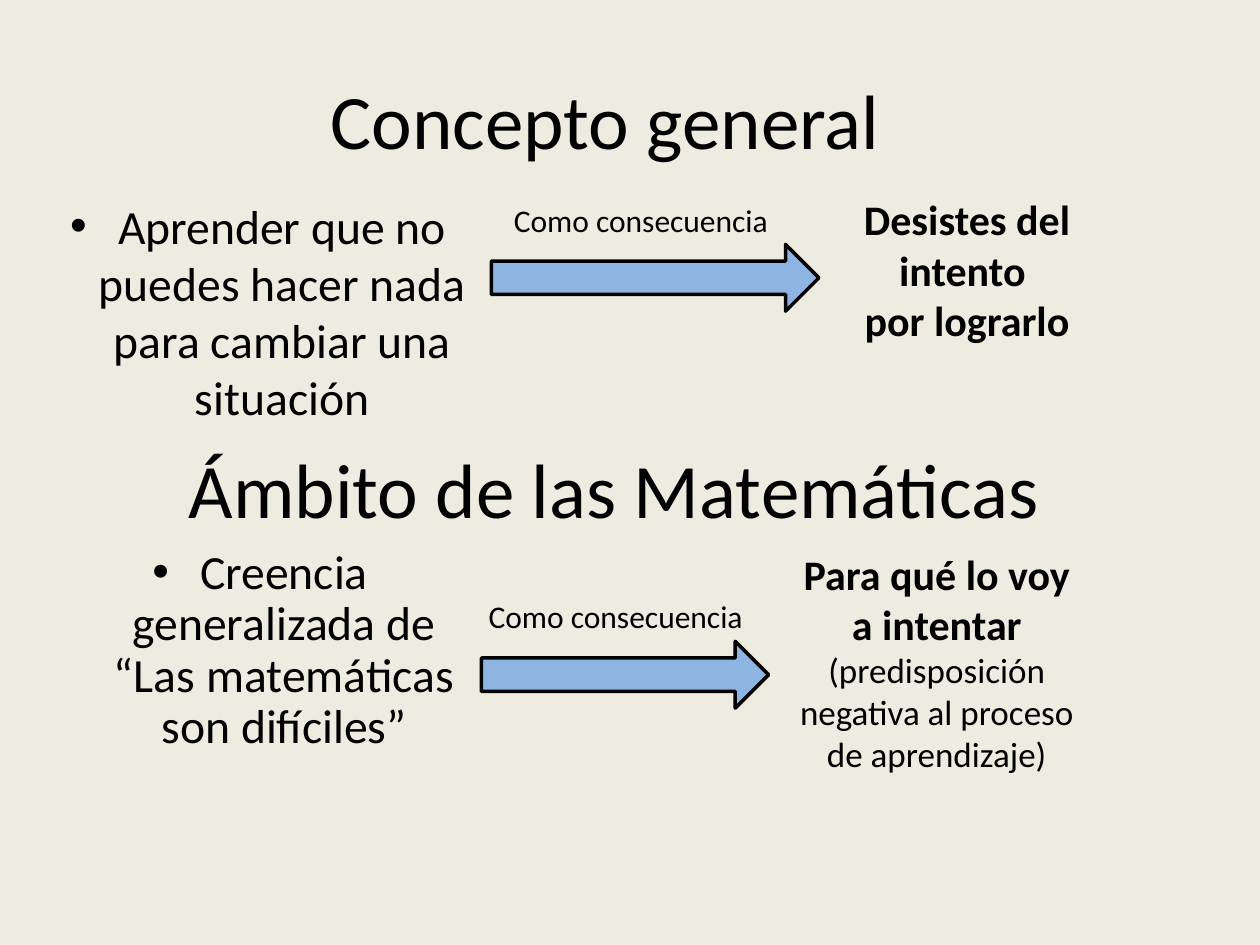
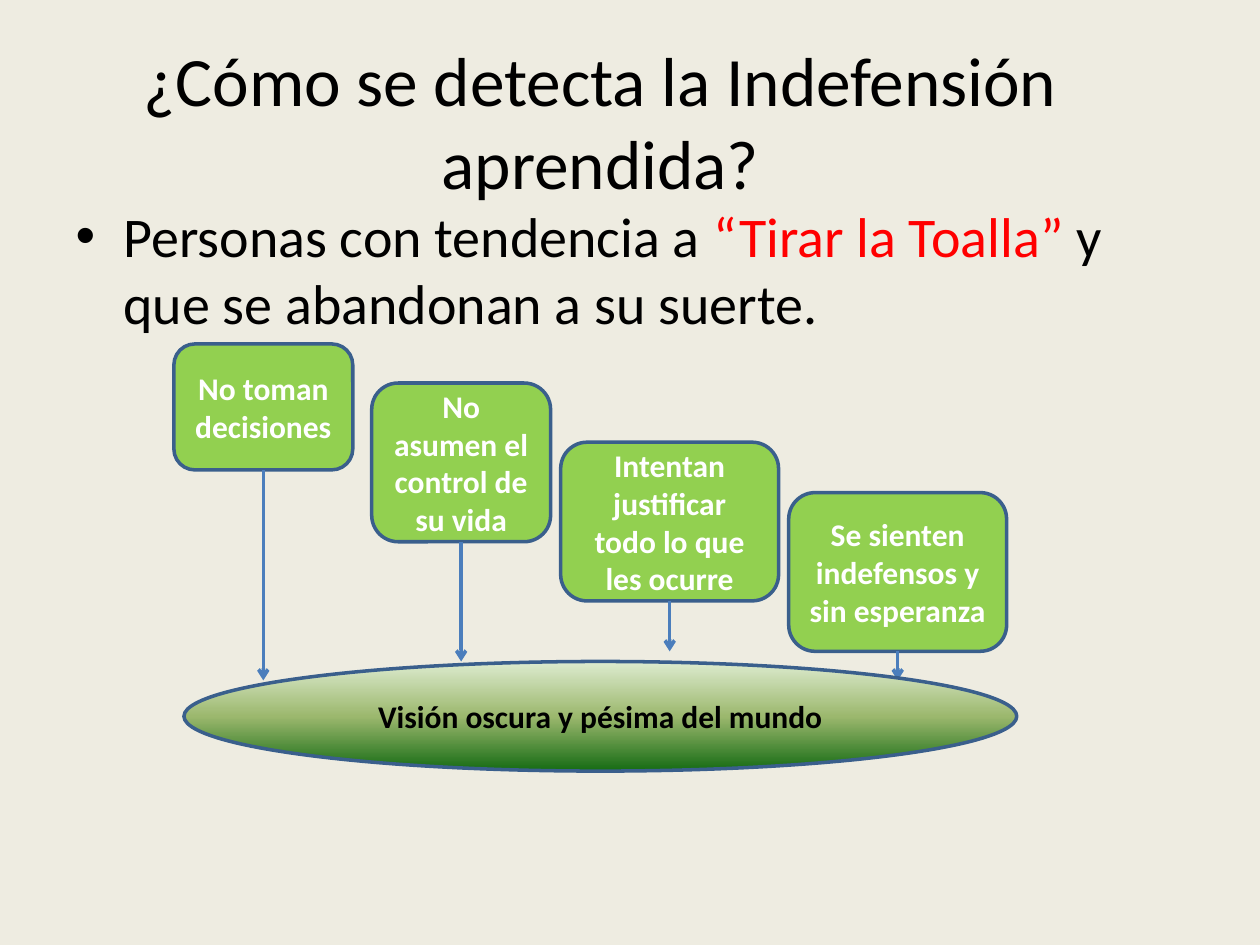
import copy
import dataclasses

import pptx
import pptx.dml.color
import pptx.enum.shapes
import pptx.enum.text
import pptx.oxml
import pptx.oxml.ns
import pptx.util

SHAPES = pptx.enum.shapes.MSO_SHAPE
ALIGN = pptx.enum.text.PP_ALIGN
ANCHOR = pptx.enum.text.MSO_ANCHOR
CELL = pptx.util.Inches(0.1)  # the slide is a grid of 100 columns by 75 rows


@dataclasses.dataclass(frozen=True)
class Theme:
    font: str = "Calibri"
    paper: str = "EEECE1"
    ink: str = "000000"
    light: str = "FFFFFF"
    accent: str = "FF0000"
    block_arrow: str = "8EB4E3"
    step: str = "92D050"
    outline: str = "3A5F8C"
    link: str = "4B7EBC"
    world: tuple = ("DDEBCF", "9CB86E", "156B13")
    heading: float = 44
    question: float = 39.6
    lead: float = 32
    belief: float = 27.2
    outcome: float = 24
    aside: float = 20
    label: float = 18
    line: float = 2


THEME = Theme()


@dataclasses.dataclass(frozen=True)
class Box:
    """An area of the grid, in columns and rows."""
    col: float
    row: float
    cols: float
    rows: float

    def inside(self, col, row, cols, rows):
        return Box(self.col + col, self.row + row, cols, rows)

    def lengths(self):
        return [round(n * CELL) for n in (self.col, self.row, self.cols, self.rows)]


def rgb(code):
    return pptx.dml.color.RGBColor.from_string(code)


def add_bullet(para):
    props = para._p.get_or_add_pPr()
    indent = pptx.util.Inches(0.38)
    props.set("marL", str(indent))
    props.set("indent", str(-indent))
    for tag, name, value in (("buFont", "typeface", "Arial"), ("buChar", "char", "•")):
        item = pptx.oxml.parse_xml(f"<a:{tag} {pptx.oxml.ns.nsdecls('a')}/>")
        item.set(name, value)
        props.append(item)


def write(shape, *paragraphs, size, color=THEME.ink, bold=False, align=ALIGN.CENTER,
          anchor=ANCHOR.TOP, wrap=True, bullet=False, spacing=None):
    """Each paragraph is a list of spans: text, or text with its own format."""
    frame = shape.text_frame
    frame.word_wrap = wrap
    frame.auto_size = pptx.enum.text.MSO_AUTO_SIZE.NONE
    frame.vertical_anchor = anchor
    for number, spans in enumerate(paragraphs):
        para = frame.add_paragraph() if number else frame.paragraphs[0]
        if bullet:
            add_bullet(para)
        para.alignment = align
        para.space_before = pptx.util.Pt(0)
        if spacing:
            para.line_spacing = spacing
        for item in spans:
            text, own = (item, {}) if isinstance(item, str) else item
            span = para.add_run()
            span.text = text
            span.font.name = THEME.font
            span.font.size = pptx.util.Pt(own.get("size", size))
            span.font.bold = own.get("bold", bold)
            span.font.color.rgb = rgb(own.get("color", color))


def place(shape, box):
    shape.left, shape.top, shape.width, shape.height = box.lengths()
    return shape


def text_box(page, box):
    return page.shapes.add_textbox(*box.lengths())


def outlined(page, kind, box, line, fill=None):
    shape = page.shapes.add_shape(kind, *box.lengths())
    shape.shadow.inherit = False
    shape.line.color.rgb = rgb(line)
    shape.line.width = pptx.util.Pt(THEME.line)
    if fill:
        shape.fill.solid()
        shape.fill.fore_color.rgb = rgb(fill)
    return shape


def fill_downwards(shape, colors):
    """Fill with evenly spaced gradient stops from top to bottom."""
    shape.fill.gradient()
    shape.fill.gradient_angle = 270
    stops = shape.element.spPr.find(".//" + pptx.oxml.ns.qn("a:gsLst"))
    while len(stops) < len(colors):
        stops.append(copy.deepcopy(stops[0]))
    for number, (stop, color) in enumerate(zip(shape.fill.gradient_stops, colors)):
        stop.color.rgb = rgb(color)
        stop.position = number / (len(colors) - 1)


def arrow_down(page, col, start, end):
    x, top, _, drop = Box(col, start, 0, end - start).lengths()
    link = page.shapes.add_connector(
        pptx.enum.shapes.MSO_CONNECTOR.STRAIGHT, x, top, x, top + drop)
    link.line.color.rgb = rgb(THEME.link)
    link.line.width = pptx.util.Pt(THEME.line)
    names = pptx.oxml.ns.nsdecls("a")
    link.line._get_or_add_ln().append(
        pptx.oxml.parse_xml(f'<a:tailEnd {names} type="arrow"/>'))
    link.element.spPr.append(pptx.oxml.parse_xml(f"<a:effectLst {names}/>"))


def cause_and_effect(page, box, heading, belief, outcome, arrow, label,
                     title=None, body=None, spacing=None):
    """Heading over belief, arrow and outcome; each part is (area, text)."""
    def area(part):
        return box.inside(*part)

    (heading_area, heading_text), (belief_area, belief_text) = heading, belief
    outcome_area, outcome_text = outcome
    title = place(title, area(heading_area)) if title else text_box(page, area(heading_area))
    body = place(body, area(belief_area)) if body else text_box(page, area(belief_area))
    write(title, [heading_text], size=THEME.heading, anchor=ANCHOR.MIDDLE)
    write(body, [belief_text], size=THEME.belief, bullet=True, spacing=spacing)
    outlined(page, SHAPES.RIGHT_ARROW, area(arrow), THEME.ink, THEME.block_arrow)
    write(text_box(page, area(label)), ["Como consecuencia"], size=THEME.label,
          align=ALIGN.LEFT, wrap=False)
    write(text_box(page, area(outcome_area)), *outcome_text, size=THEME.outcome, bold=True)


def concept_slide(page):
    cause_and_effect(
        page, Box(0, 3.6, 100, 30),
        heading=((7.5, 0, 81.1, 11.7), "Concepto general"),
        belief=((2.8, 11.5, 35.4, 19.2),
                "Aprender que no puedes hacer nada para cambiar una situación"),
        arrow=(39, 15.8, 26, 5.3), label=(39.8, 11.9, 22.4, 4),
        outcome=((64.2, 11.3, 25.1, 13.1), [["Desistes del intento "], ["por lograrlo"]]),
        title=page.shapes.title, body=page.placeholders[1])
    aside = ("(predisposición negativa al proceso de aprendizaje)",
             {"size": THEME.aside, "bold": False})
    cause_and_effect(
        page, Box(0, 32.8, 100, 30),
        heading=((6.5, 0, 84.5, 11.8), "Ámbito de las Matemáticas"),
        belief=((3.5, 10.2, 34.3, 19.2),
                "Creencia generalizada de “Las matemáticas son difíciles”"),
        arrow=(38.2, 18.1, 22.8, 5.3), label=(37.8, 14.1, 22.4, 4),
        outcome=((61.8, 10.2, 25.1, 19.2), [["Para qué lo voy a intentar ", aside]]),
        spacing=0.9)


def staircase(page, box):
    """Descending steps, each pointing down to the ellipse below them."""
    steps = [
        ((0, 0, 14.2, 10), 26.7, [["No toman"], ["decisiones "]]),
        ((15.7, 3.1, 14.2, 12.6), 25.2, [["No asumen el control de su vida"]]),
        ((30.7, 7.8, 17.3, 12.6), 24.4, [["Intentan justificar todo lo que les ocurre"]]),
        ((48.8, 11.8, 17.3, 12.6), 26.7, [["Se sienten indefensos y sin esperanza"]]),
    ]
    label = {"size": THEME.label, "bold": True, "anchor": ANCHOR.MIDDLE}
    areas = [box.inside(*area) for area, _, _ in steps]
    for area, (_, _, text) in zip(areas, steps):
        step = outlined(page, SHAPES.ROUNDED_RECTANGLE, area, THEME.outline, THEME.step)
        write(step, *text, color=THEME.light, **label)
    for area, (_, end, _) in zip(areas, steps):
        arrow_down(page, area.col + area.cols / 2, area.row + area.rows, box.row + end)
    world = outlined(page, SHAPES.OVAL, box.inside(0.8, 25.2, 66.1, 8.7), THEME.outline)
    fill_downwards(world, THEME.world)
    write(world, ["Visión oscura y pésima del mundo"], **label)


def detection_slide(page):
    title = place(page.shapes.title, Box(7.5, 3.6, 80.3, 11.9))
    write(title, ["¿Cómo se detecta la Indefensión aprendida?"],
          size=THEME.question, anchor=ANCHOR.MIDDLE)
    body = place(page.placeholders[1], Box(5, 15.5, 90, 12.1))
    write(body, ["Personas con tendencia a ",
                 ("“Tirar la Toalla” ", {"color": THEME.accent}),
                 "y que se abandonan a su suerte."],
          size=THEME.lead, align=ALIGN.LEFT, bullet=True)
    staircase(page, Box(13.8, 27.3, 66.9, 33.9))


def main():
    deck = pptx.Presentation()
    deck.slide_width, deck.slide_height = 100 * CELL, 75 * CELL
    paper = deck.slide_master.background.fill
    paper.solid()
    paper.fore_color.rgb = rgb(THEME.paper)
    for build in (concept_slide, detection_slide):
        build(deck.slides.add_slide(deck.slide_layouts[1]))
    deck.save("out.pptx")


if __name__ == "__main__":
    main()
